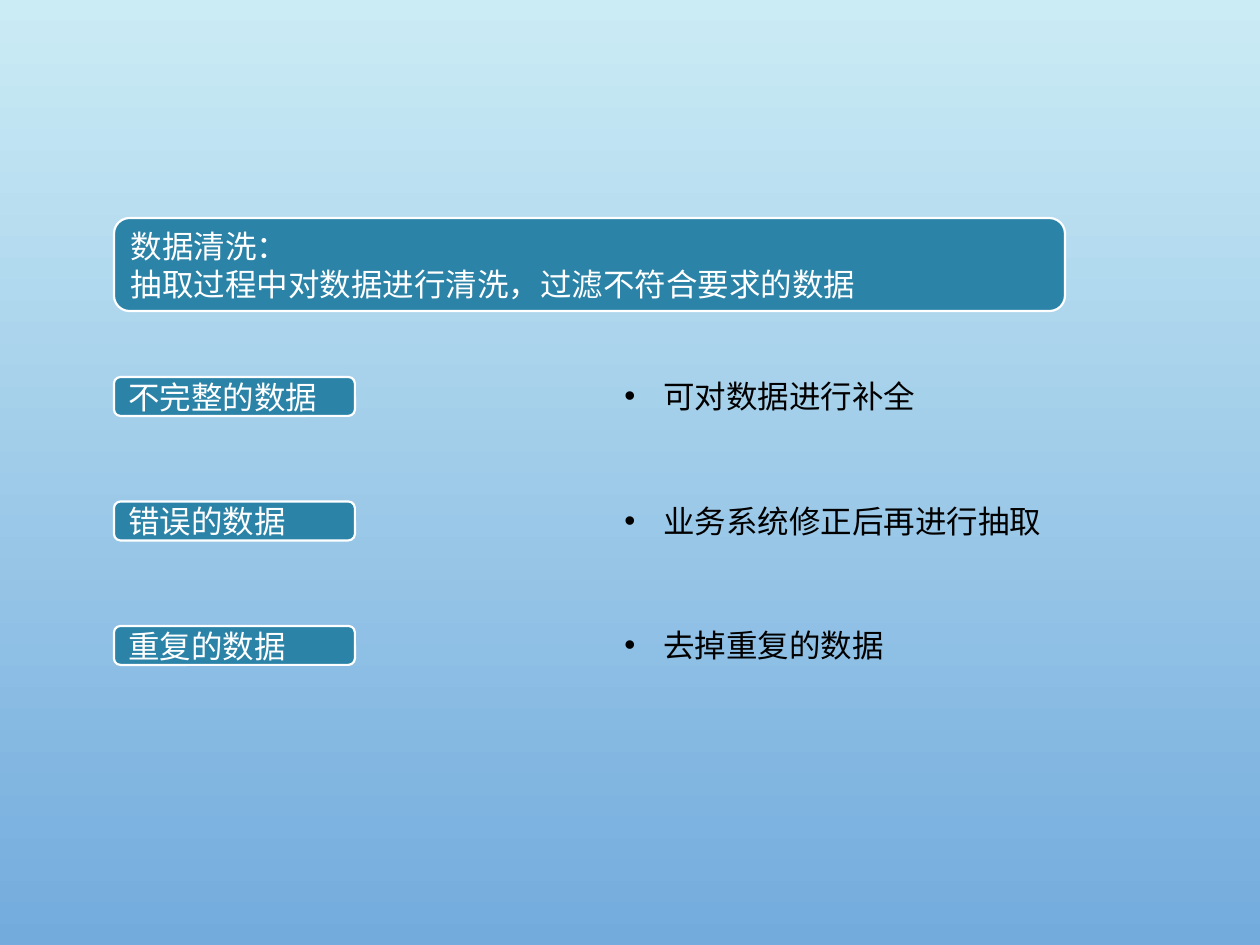
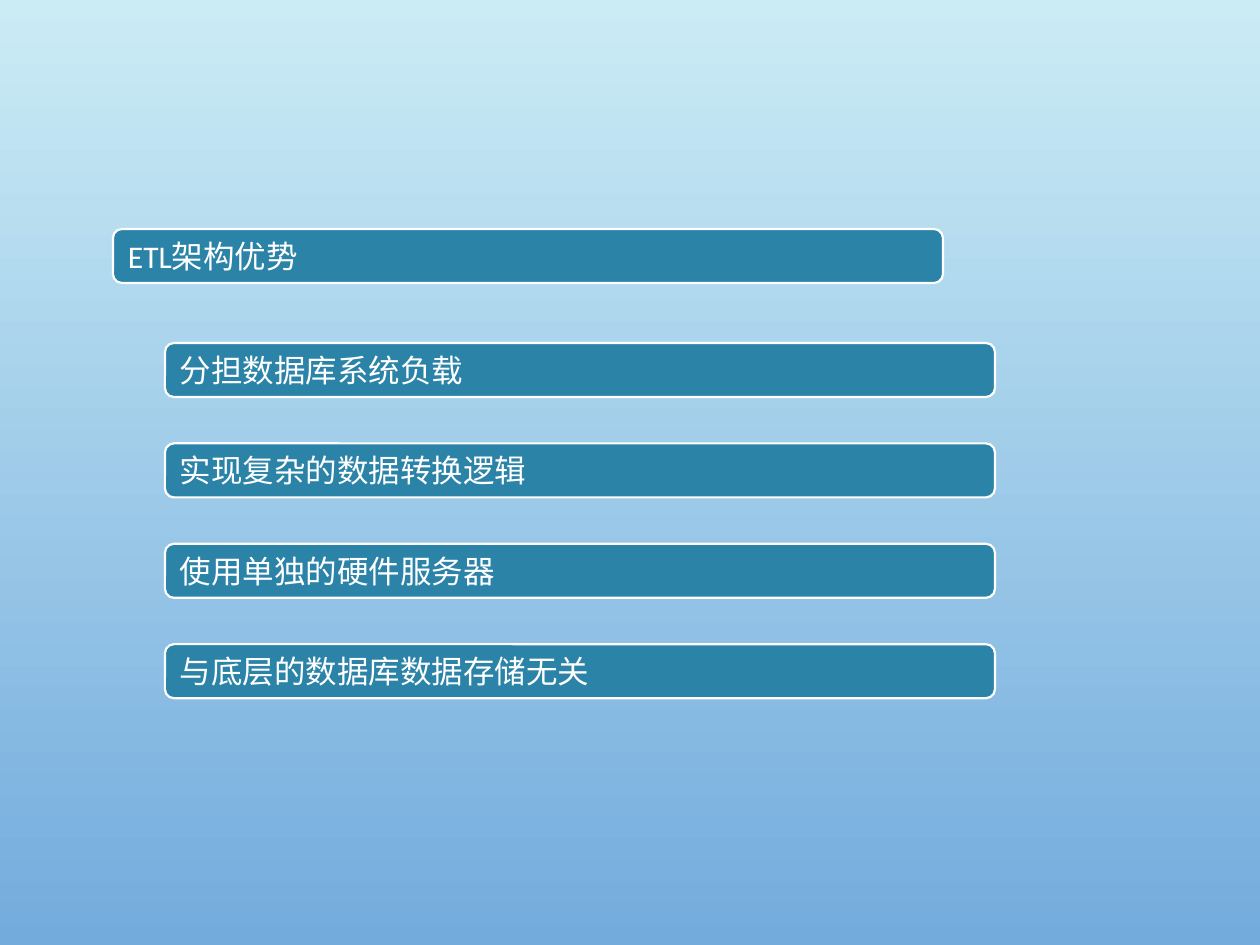
import pptx
import pptx.util
import pptx.dml.color
import pptx.enum.shapes
import pptx.enum.text
import pptx.oxml.ns
import lxml.etree

CLEANING_BANNER = [("数据清洗：", "Arial"), ("抽取过程中对数据进行清洗，过滤不符合要求的数据", "Calibri")]
CLEANING_ROWS = [
    ("不完整的数据", "可对数据进行补全"),
    ("错误的数据", "业务系统修正后再进行抽取"),
    ("重复的数据", "去掉重复的数据"),
]
ADVANTAGES_HEADING = "ETL架构优势"
ADVANTAGES = ["分担数据库系统负载", "实现复杂的数据转换逻辑", "使用单独的硬件服务器", "与底层的数据库数据存储无关"]

SKY_TOP, SKY_BOTTOM = "CBECF5", "73ABDD"
TEAL, WHITE, BLACK = "2B83A7", "FFFFFF", "000000"
PIXELS_PER_INCH = 126
BULLET_INDENT = 39


def px(length):
    return pptx.util.Emu(round(length * 914400 / PIXELS_PER_INCH))


def rgb(value):
    return pptx.dml.color.RGBColor.from_string(value)


def add_bullet(para):
    properties = para._p.get_or_add_pPr()
    properties.set("marL", str(px(BULLET_INDENT)))
    properties.set("indent", str(-px(BULLET_INDENT)))
    for tag, name, value in [("a:buFont", "typeface", "Arial"), ("a:buChar", "char", "•")]:
        lxml.etree.SubElement(properties, pptx.oxml.ns.qn(tag)).set(name, value)


def write(para, text, *, font="Calibri", size=18, color=BLACK, bullet=False):
    if bullet:
        add_bullet(para)
    para.alignment = pptx.enum.text.PP_ALIGN.LEFT
    span = para.add_run()
    span.text = text
    span.font.name = font
    span.font.size = pptx.util.Pt(size)
    span.font.color.rgb = rgb(color)


def add_plate(page, lines, left, top, width, height):
    plate = page.shapes.add_shape(
        pptx.enum.shapes.MSO_SHAPE.ROUNDED_RECTANGLE, px(left), px(top), px(width), px(height))
    plate.shadow.inherit = False
    plate.fill.solid()
    plate.fill.fore_color.rgb = rgb(TEAL)
    plate.line.color.rgb = rgb(WHITE)
    plate.line.width = pptx.util.Pt(1.25)
    frame = plate.text_frame
    frame.vertical_anchor = pptx.enum.text.MSO_ANCHOR.MIDDLE
    for index, (text, font) in enumerate(lines):
        para = frame.add_paragraph() if index else frame.paragraphs[0]
        write(para, text, font=font, color=WHITE)


def add_remedy(page, text, left, top, width, height):
    box = page.shapes.add_textbox(px(left), px(top), px(width), px(height))
    box.text_frame.word_wrap = True
    write(box.text_frame.paragraphs[0], text, bullet=True)


def paint_background(deck):
    fill = deck.slide_master.background.fill
    fill.gradient()
    fill.gradient_angle = 270
    for stop, color in zip(fill.gradient_stops, (SKY_TOP, SKY_BOTTOM)):
        stop.color.rgb = rgb(color)


def add_page(deck):
    return deck.slides.add_slide(deck.slide_layouts.get_by_name("Blank"))


def build_cleaning(deck):
    page = add_page(deck)
    for index, (problem, remedy) in enumerate(CLEANING_ROWS):
        top = 377 + index * 124.5
        add_plate(page, [(problem, "Calibri")], 114, top, 241, 39)
        add_remedy(page, remedy, 612, top - 6, 452, 50)
    add_plate(page, CLEANING_BANNER, 114, 218, 951, 93)


def build_advantages(deck):
    page = add_page(deck)
    width, height = 830, 54
    for index, advantage in enumerate(ADVANTAGES):
        add_plate(page, [(advantage, "Calibri")], 165, 343 + index * 100.4, width, height)
    add_plate(page, [(ADVANTAGES_HEADING, "Calibri")], 113, 229, width, height)


def main():
    deck = pptx.Presentation()
    deck.slide_width, deck.slide_height = px(1260), px(945)
    paint_background(deck)
    build_cleaning(deck)
    build_advantages(deck)
    deck.save("out.pptx")


if __name__ == "__main__":
    main()
